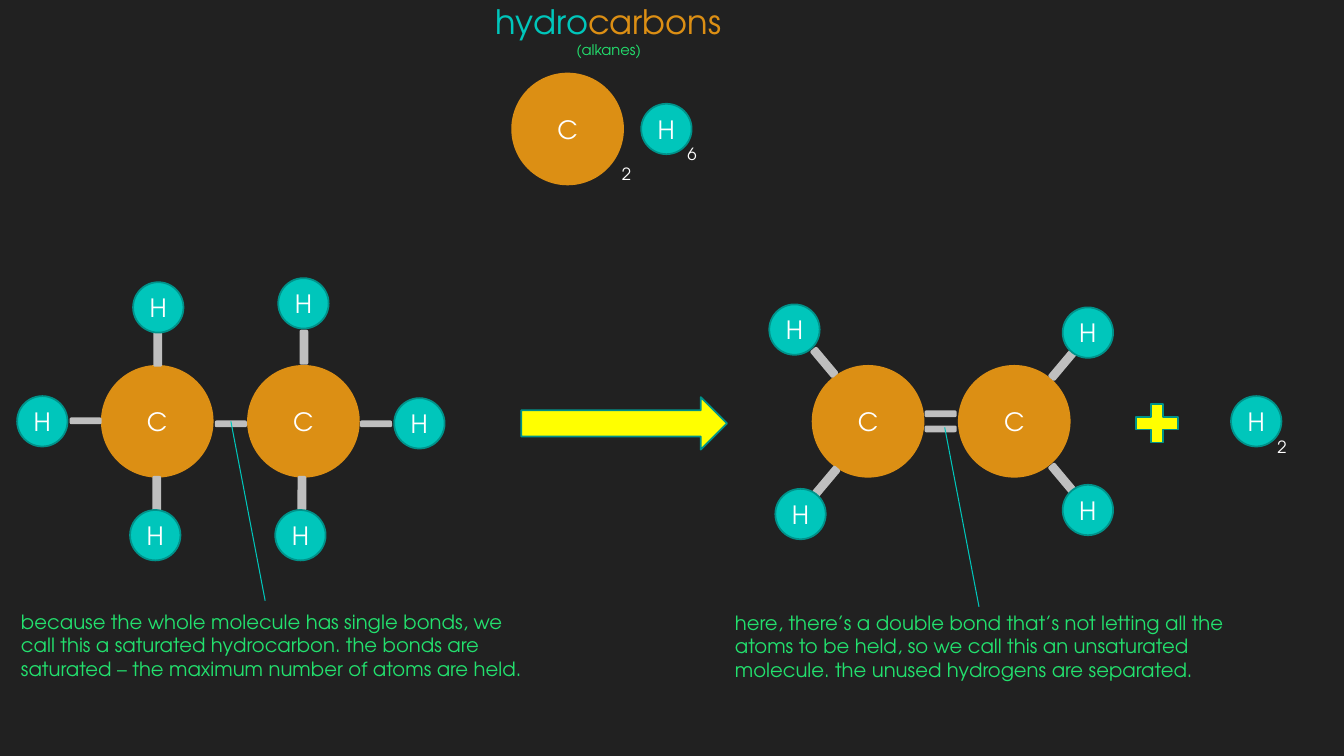
"""Build a slide comparing saturated and unsaturated hydrocarbons."""
import pptx
import pptx.dml.color
import pptx.enum.shapes
import pptx.enum.text
import pptx.oxml.ns
import pptx.util

PX = 9144
COLORS = {
    "background": "212121", "hydrogen": "00C6BB", "outline": "00928A",
    "carbon": "DC8F14", "bond": "BFBFBF", "note": "23E06E",
    "white": "FFFFFF", "yellow": "FFFF00",
}
SHAPES = pptx.enum.shapes.MSO_SHAPE
CENTER = pptx.enum.text.PP_ALIGN.CENTER


def rgb(name):
    return pptx.dml.color.RGBColor.from_string(COLORS[name])


def write_text(text, *, para, size, color="white", align=None):
    span = para.add_run()
    span.text = text
    span.font.name = "TeX Gyre Adventor"
    span.font.size = pptx.util.Pt(size)
    span.font.color.rgb = rgb(color)
    para.alignment = align


deck = pptx.Presentation()
deck.slide_width, deck.slide_height = 1333 * PX, 750 * PX
page = deck.slides.add_slide(deck.slide_layouts[6])
page.background.fill.solid()
page.background.fill.fore_color.rgb = rgb("background")

carbons = [(508, 73), (101, 363), (246, 363), (806, 363), (951, 363)]
hydrogens = [
    (636, 103), (276, 276), (132, 280), (17, 393), (129, 506), (273, 506),
    (391, 395), (1054, 305), (763, 302), (769, 485), (1054, 481), (1221, 393),
]
flat_bonds = [(214, 418), (70, 415), (358, 418), (918, 423), (918, 408)]
upright_bonds = [
    (153, 330, 0), (152, 473, 0), (298, 328, 0), (296, 473, 0),
    (1050, 346, 40), (1050, 458, 320), (816, 461, 40), (814, 343, 320),
]

parts = [(SHAPES.OVAL, x, y, 110, 110, 0, "carbon", "carbon", "C") for x, y in carbons]
parts += [(SHAPES.ROUNDED_RECTANGLE, x, y, 30, 5, 0, "bond", "bond", "") for x, y in flat_bonds]
parts += [
    (SHAPES.ROUNDED_RECTANGLE, x, y, 7, 33, turn, "bond", "bond", "")
    for x, y, turn in upright_bonds
]
parts += [(SHAPES.OVAL, x, y, 50, 50, 0, "hydrogen", "outline", "H") for x, y in hydrogens]
parts += [
    (SHAPES.MATH_PLUS, 1119, 394, 57, 52, 0, "yellow", "outline", ""),
    (SHAPES.RIGHT_ARROW, 517, 394, 204, 52, 0, "yellow", "outline", ""),
]

for kind, left, top, width, height, turn, fill, line, symbol in parts:
    shape = page.shapes.add_shape(kind, left * PX, top * PX, width * PX, height * PX)
    shape.rotation = turn
    shape.shadow.inherit = False
    shape.fill.solid()
    shape.fill.fore_color.rgb = rgb(fill)
    shape.line.color.rgb = rgb(line)
    shape.line.width = pptx.util.Pt(1.25)
    if symbol:
        frame = shape.text_frame
        frame.word_wrap = False
        frame.vertical_anchor = pptx.enum.text.MSO_ANCHOR.MIDDLE
        write_text(symbol, para=frame.paragraphs[0], size=18, align=CENTER)

for start_x, start_y, end_x, end_y in [(229, 418, 263, 596), (937, 424, 971, 602)]:
    pointer = page.shapes.add_connector(
        pptx.enum.shapes.MSO_CONNECTOR.STRAIGHT,
        start_x * PX, start_y * PX, end_x * PX, end_y * PX,
    )
    pointer.line.color.rgb = rgb("hydrogen")
    pointer.line.width = pptx.util.Pt(0.75)
    properties = pointer._element.spPr
    properties.append(properties.makeelement(pptx.oxml.ns.qn("a:effectLst"), {}))

saturated = (
    "because the whole molecule has single bonds, we call this a saturated hydrocarbon. "
    "the bonds are saturated – the maximum number of atoms are held."
)
unsaturated = (
    "here, there’s a double bond that’s not letting all the atoms to be held, "
    "so we call this an unsaturated molecule. the unused hydrogens are separated."
)
labels = [
    (482, -4, 248, 68, False, 24, [("hydro", "hydrogen"), ("carbons", "carbon")]),
    (672, 138, 29, 30, False, 12, [("6", "white")]),
    (607, 158, 29, 30, False, 12, [("2", "white")]),
    (1257, 428, 29, 30, False, 12, [("2", "white")]),
    (11, 600, 522, 82, True, 14, [(saturated, "note")]),
    (719, 601, 522, 81, True, 14, [(unsaturated, "note")]),
]
frames = []
for left, top, width, height, wrap, size, spans in labels:
    box = page.shapes.add_textbox(left * PX, top * PX, width * PX, height * PX)
    frame = box.text_frame
    frame.word_wrap = wrap
    frame.auto_size = pptx.enum.text.MSO_AUTO_SIZE.SHAPE_TO_FIT_TEXT
    for text, color in spans:
        write_text(text, para=frame.paragraphs[0], size=size, color=color)
    frames.append(frame)

subtitle = frames[0].add_paragraph()
write_text("(alkanes)", para=subtitle, size=10.5, color="note", align=CENTER)

deck.save("out.pptx")
